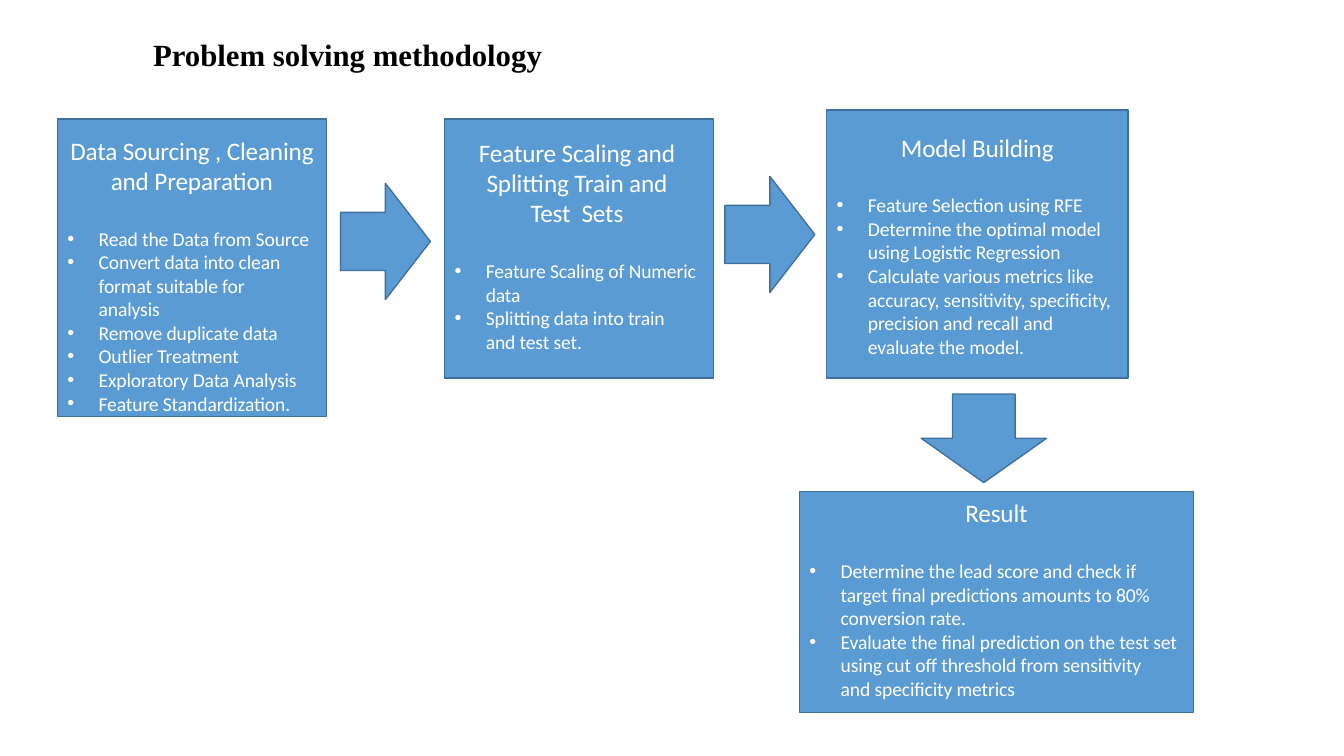
from pptx import Presentation
from pptx.dml.color import RGBColor
from pptx.enum.shapes import MSO_SHAPE as SHAPE
from pptx.enum.text import MSO_ANCHOR as ANCHOR, PP_ALIGN as ALIGN
from pptx.oxml.ns import qn
from pptx.util import Pt
from lxml import etree

COLORS = {"fill": "5B9BD3", "line": "416F9C", "white": "FFFFFF", "black": "000000"}
TITLE = ("Problem solving methodology", (109.4, 24.5, 300, 29))

# Bullets are (text, right margin, hanging bullet shown)
STEPS = [
    {"box": (41, 85, 192.2, 212.4), "top": 11.5, "sides": (0, 0),
     "heading": "Data Sourcing , Cleaning and Preparation",
     "bullets": [("Read the Data from Source", 0, True),
                 ("Convert data into clean format suitable for analysis", 24, True),
                 ("Remove duplicate data", 0, True),
                 ("Outlier Treatment", 0, True),
                 ("Exploratory Data Analysis", 0, True),
                 ("Feature Standardization.", 0, True)]},
    {"box": (317.5, 85, 192.2, 185), "top": 13, "sides": (21, 24),
     "heading": "Feature Scaling and Splitting Train and Test  Sets",
     "bullets": [("Feature Scaling of Numeric  data", 0, True),
                 ("Splitting data into train", 0, True),
                 ("and test set.", 0, False)]},
    {"box": (590.4, 78.5, 215.3, 191.5), "top": 15.8, "sides": (0, 0),
     "heading": "Model Building",
     "bullets": [("Feature Selection using RFE", 12, True),
                 ("Determine the optimal model  using Logistic Regression", 12, True),
                 ("Calculate various metrics like accuracy, sensitivity, specificity, "
                  "precision and recall and evaluate the model.", 12, True)]},
    {"box": (571, 351.1, 281.5, 157.7), "top": 4.3, "sides": (0, 0),
     "heading": "Result",
     "bullets": [("Determine the lead score and check if target final predictions "
                  "amounts to 80% conversion rate.", 12, True),
                 ("Evaluate the final prediction on the test set using cut off "
                  "threshold from sensitivity  and specificity metrics", 12, True)]},
]
ARROWS = [(SHAPE.RIGHT_ARROW, (243.2, 131, 64.2, 83)),
          (SHAPE.RIGHT_ARROW, (517.8, 126, 64.2, 83)),
          (SHAPE.DOWN_ARROW, (658, 281.5, 89.5, 63.2))]

HEADING = {"size": Pt(18), "name": "Calibri", "color": "white", "spacing": -10}
BULLET = {**HEADING, "size": Pt(14)}
TITLE_FONT = {"size": Pt(22), "name": "Times New Roman", "bold": True, "color": "black"}
INDENT, HANG, GAP = 29.5, -22.3, 22.2


def rgb(name):
    """Look up a named colour."""
    return RGBColor.from_string(COLORS[name])


def set_frame(tf, top):
    """Give a text frame wrapping, top anchoring and its insets."""
    frame = {"word_wrap": True, "vertical_anchor": ANCHOR.TOP, "margin_left": 0,
             "margin_right": 0, "margin_top": Pt(top), "margin_bottom": 0}
    for name, value in frame.items():
        setattr(tf, name, value)


def write(p, text, fmt, align=ALIGN.LEFT, left=0, right=0, hang=0, before=0, bullet=False):
    """Fill one paragraph with formatted text."""
    p.alignment, p.space_before = align, Pt(before)
    pPr = p._p.get_or_add_pPr()
    for name, value in {"marL": left, "marR": right, "indent": hang}.items():
        pPr.set(name, str(int(Pt(value))))
    if bullet:
        etree.SubElement(pPr, qn("a:buFont")).set("typeface", "Arial")
        etree.SubElement(pPr, qn("a:buChar")).set("char", "•")
    r = p.add_run()
    r.text = text
    for name, value in fmt.items():
        if name == "color":
            r.font.color.rgb = rgb(value)
        elif name == "spacing":
            r._r.get_or_add_rPr().set("spc", str(value))
        else:
            setattr(r.font, name, value)


def add_block(slide, kind, place):
    """Add a filled and outlined preset shape."""
    sp = slide.shapes.add_shape(kind, *map(Pt, place))
    sp.shadow.inherit = False
    sp.fill.solid()
    sp.fill.fore_color.rgb = rgb("fill")
    sp.line.color.rgb = rgb("line")
    sp.line.width = Pt(0.96)
    return sp


def add_step(slide, step):
    """Add one step box with its heading and bullets."""
    tf = add_block(slide, SHAPE.RECTANGLE, step["box"]).text_frame
    set_frame(tf, step["top"])
    left, right = step["sides"]
    write(tf.paragraphs[0], step["heading"], HEADING, ALIGN.CENTER, left, right)
    for i, (text, margin, bullet) in enumerate(step["bullets"]):
        write(tf.add_paragraph(), text, BULLET, left=INDENT, right=margin,
              hang=HANG if bullet else 0, before=0 if i else GAP, bullet=bullet)


prs = Presentation()
prs.slide_width, prs.slide_height = Pt(960), Pt(540)
slide = prs.slides.add_slide(prs.slide_layouts[6])
text, place = TITLE
tf = slide.shapes.add_textbox(*map(Pt, place)).text_frame
set_frame(tf, 1)
write(tf.paragraphs[0], text, TITLE_FONT)
for step in STEPS:
    add_step(slide, step)
for kind, place in ARROWS:
    add_block(slide, kind, place)
prs.save("out.pptx")
